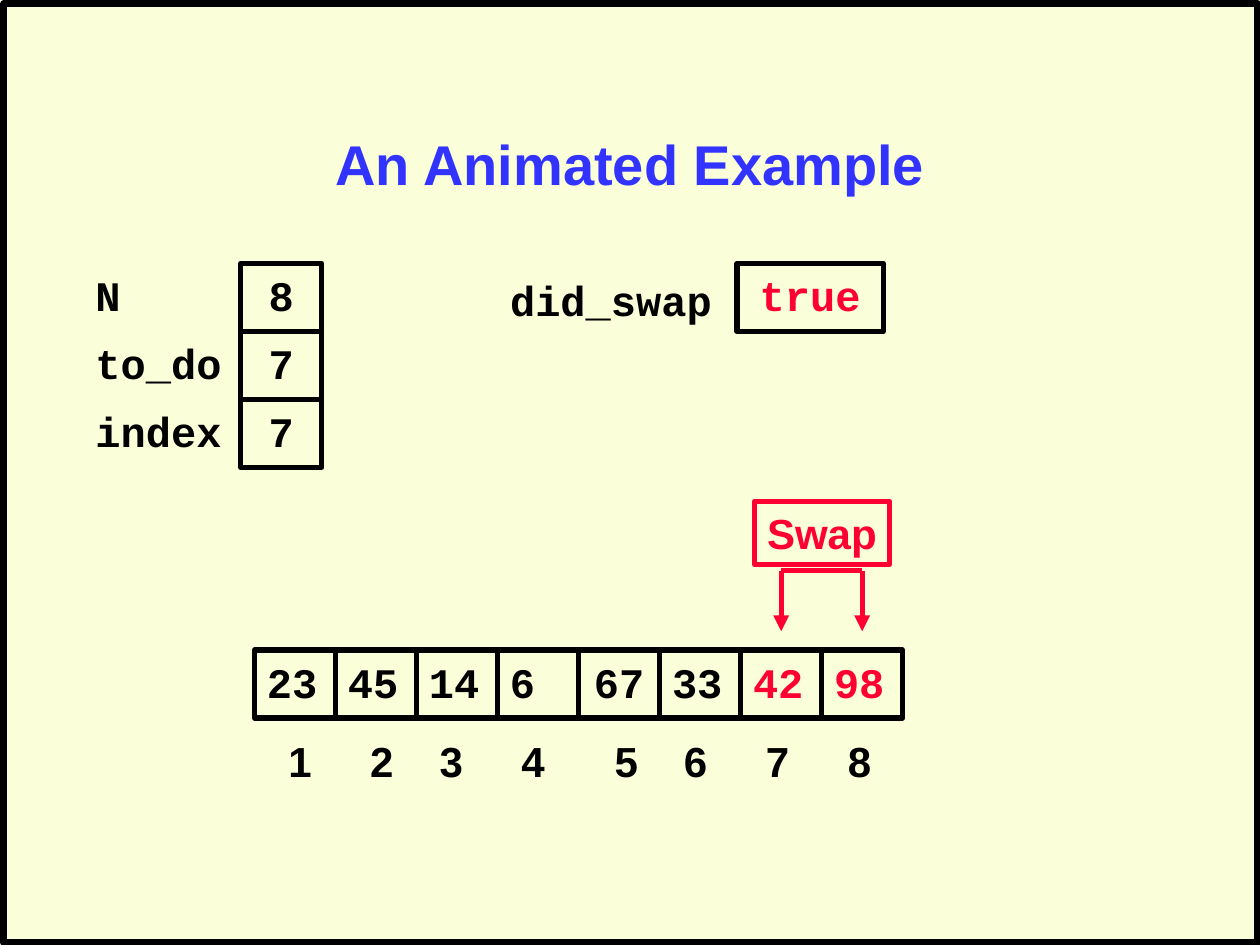
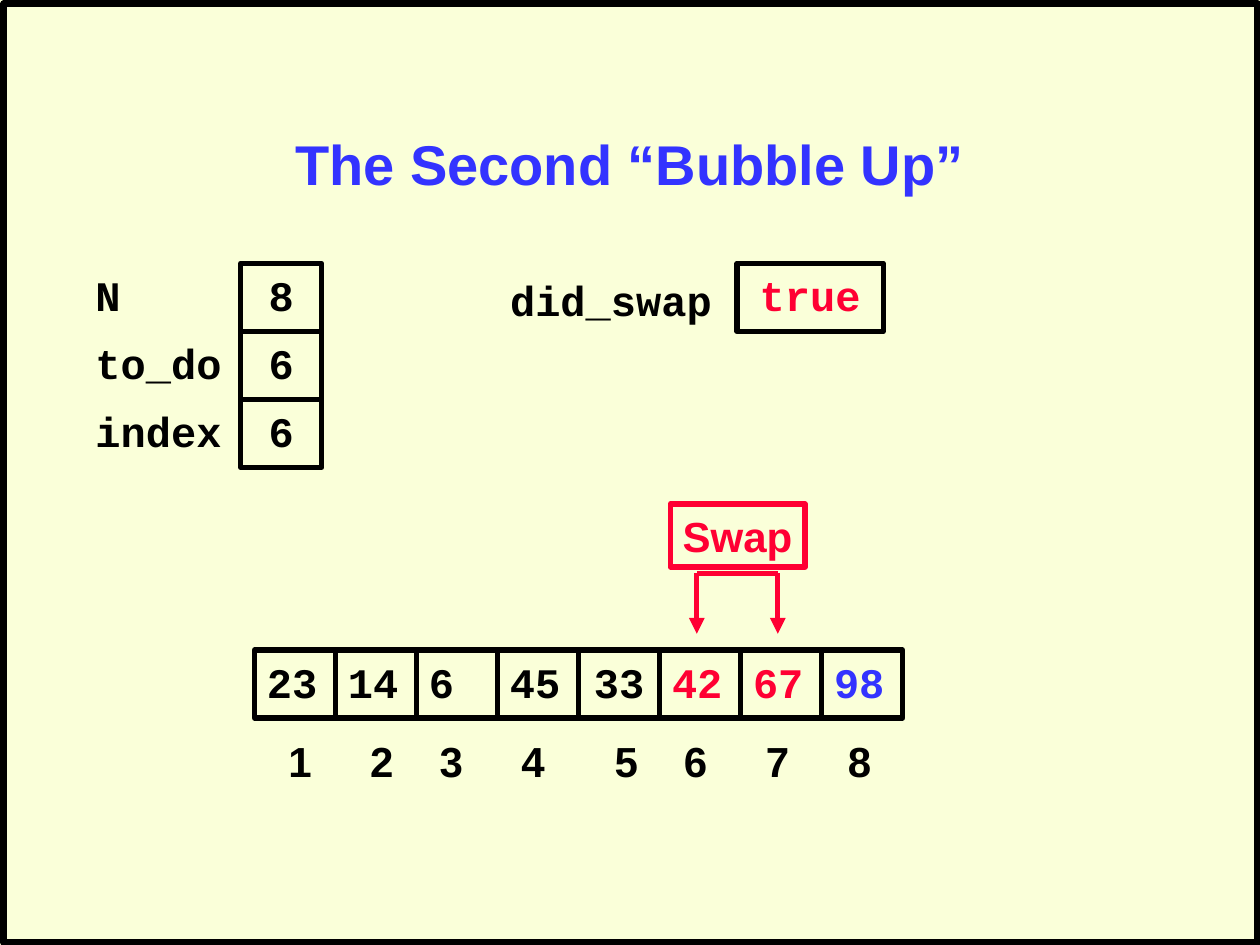
"""Build two slides that step through a bubble sort."""
from lxml.etree import SubElement
from pptx import Presentation
from pptx.dml.color import RGBColor
from pptx.enum.shapes import MSO_CONNECTOR, MSO_SHAPE
from pptx.enum.text import MSO_ANCHOR, PP_ALIGN
from pptx.oxml.ns import qn
from pptx.util import Inches, Pt

BLACK, RED, BLUE, CREAM = "000000", "FF0033", "3333FF", "FAFFD9"
WIDTH, HEIGHT = 10, 7.5
COLUMN, ROW = 0.0643 * WIDTH, 0.072 * HEIGHT
LABEL_HEIGHT = 0.5
LABEL_LEFT, VALUE_LEFT, VARIABLES_TOP = 0.066 * WIDTH, 0.191 * WIDTH, 2.09
ARRAY_LEFT, ARRAY_TOP = 0.202 * WIDTH, 5.16
INDEX_STOPS = [0.65, 1.2, 1.85, 2.59, 3.14, 3.79, 4.44]

STEPS = [
    {"title": "An Animated Example", "to_do": "7", "index": "7",
     "values": [23, 45, 14, 6, 67, 33, 42, 98],
     "swapped": (6, 7), "sorted": (), "swap_at": (5.99, 3.98)},
    {"title": "The Second “Bubble Up”", "to_do": "6", "index": "6",
     "values": [23, 14, 6, 45, 33, 42, 67, 98],
     "swapped": (5, 6), "sorted": (7,), "swap_at": (5.32, 4)},
]


def write_text(shape, text, color=BLACK, font="Courier New", size=24,
               align=PP_ALIGN.LEFT, anchor=MSO_ANCHOR.TOP, wrap=False):
    """Write one bold paragraph into a shape."""
    frame = shape.text_frame
    frame.word_wrap, frame.vertical_anchor = wrap, anchor
    paragraph = frame.paragraphs[0]
    paragraph.alignment = align
    run = paragraph.add_run()
    run.text = text
    run.font.name, run.font.size, run.font.bold = font, Pt(size), True
    run.font.color.rgb = RGBColor.from_string(color)


def add_box(slide, left, top, width, height, color=BLACK, weight=3):
    """Add an unfilled rectangle with a coloured outline."""
    shape = slide.shapes.add_shape(
        MSO_SHAPE.RECTANGLE, Inches(left), Inches(top), Inches(width), Inches(height))
    shape.shadow.inherit = False
    shape.fill.background()
    shape.line.color.rgb = RGBColor.from_string(color)
    shape.line.width = Pt(weight)
    return shape


presentation = Presentation()
presentation.slide_width, presentation.slide_height = Inches(WIDTH), Inches(HEIGHT)
background = presentation.slide_master.background.fill
background.solid()
background.fore_color.rgb = RGBColor.from_string(CREAM)

for step in STEPS:
    slide = presentation.slides.add_slide(presentation.slide_layouts[5])
    add_box(slide, 0.03, 0.03, WIDTH - 0.05, HEIGHT - 0.05, weight=3.75)

    title = slide.shapes.title
    title.left, title.top = Inches(0.075 * WIDTH), Inches(0.67)
    title.width, title.height = Inches(0.85 * WIDTH), Inches(1.25)
    write_text(title, step["title"], color=BLUE, font="Arial", size=32,
               align=PP_ALIGN.CENTER, anchor=MSO_ANCHOR.MIDDLE, wrap=True)

    for column, value in enumerate(step["values"]):
        cell = add_box(slide, ARRAY_LEFT + column * COLUMN, ARRAY_TOP, COLUMN, ROW)
        color = RED if column in step["swapped"] else BLUE if column in step["sorted"] else BLACK
        write_text(cell, str(value), color=color,
                   align=PP_ALIGN.CENTER if column == 4 else PP_ALIGN.LEFT)

    labels = [("did_swap", 0.395 * WIDTH, 2.13, 2.6, "Courier New"),
              ("\t".join("12345678"), 0.219 * WIDTH, 5.79, 4.83, "Arial")]
    variables = [("N", "8"), ("to_do", step["to_do"]), ("index", step["index"])]
    for row, (name, value) in enumerate(variables):
        top = VARIABLES_TOP + row * ROW
        labels.append((name, LABEL_LEFT, top, 1.2, "Courier New"))
        write_text(add_box(slide, VALUE_LEFT, top, COLUMN, ROW), value, align=PP_ALIGN.CENTER)

    for text, left, top, width, font in labels:
        label = slide.shapes.add_textbox(
            Inches(left), Inches(top), Inches(width), Inches(LABEL_HEIGHT))
        write_text(label, text, font=font)
        if "\t" in text:
            properties = label.text_frame.paragraphs[0]._p.get_or_add_pPr()
            tab_list = SubElement(properties, qn("a:tabLst"))
            for stop in INDEX_STOPS:
                SubElement(tab_list, qn("a:tab"), pos=str(Inches(stop)), algn="l")

    flag = add_box(slide, 0.585 * WIDTH, VARIABLES_TOP, 1.16, ROW)
    write_text(flag, "true", color=RED, align=PP_ALIGN.CENTER)

    swap_left, swap_top = step["swap_at"]
    swap = add_box(slide, swap_left, swap_top, 1.07, LABEL_HEIGHT, color=RED)
    write_text(swap, "Swap", color=RED, font="Arial")

    first = swap_left + 0.21
    second = first + COLUMN
    bar, tip = swap_top + 0.55, swap_top + 1.03
    for start_x, start_y, end_x, end_y in [
            (first, bar, first, tip), (second, bar, second, tip), (first, bar, second, bar)]:
        line = slide.shapes.add_connector(
            MSO_CONNECTOR.STRAIGHT, Inches(start_x), Inches(start_y), Inches(end_x), Inches(end_y))
        line.line.color.rgb = RGBColor.from_string(RED)
        line.line.width = Pt(3)
        if start_x == end_x:
            SubElement(line.line._get_or_add_ln(), qn("a:tailEnd"), type="triangle")
        SubElement(line._element.spPr, qn("a:effectLst"))

presentation.save("out.pptx")
